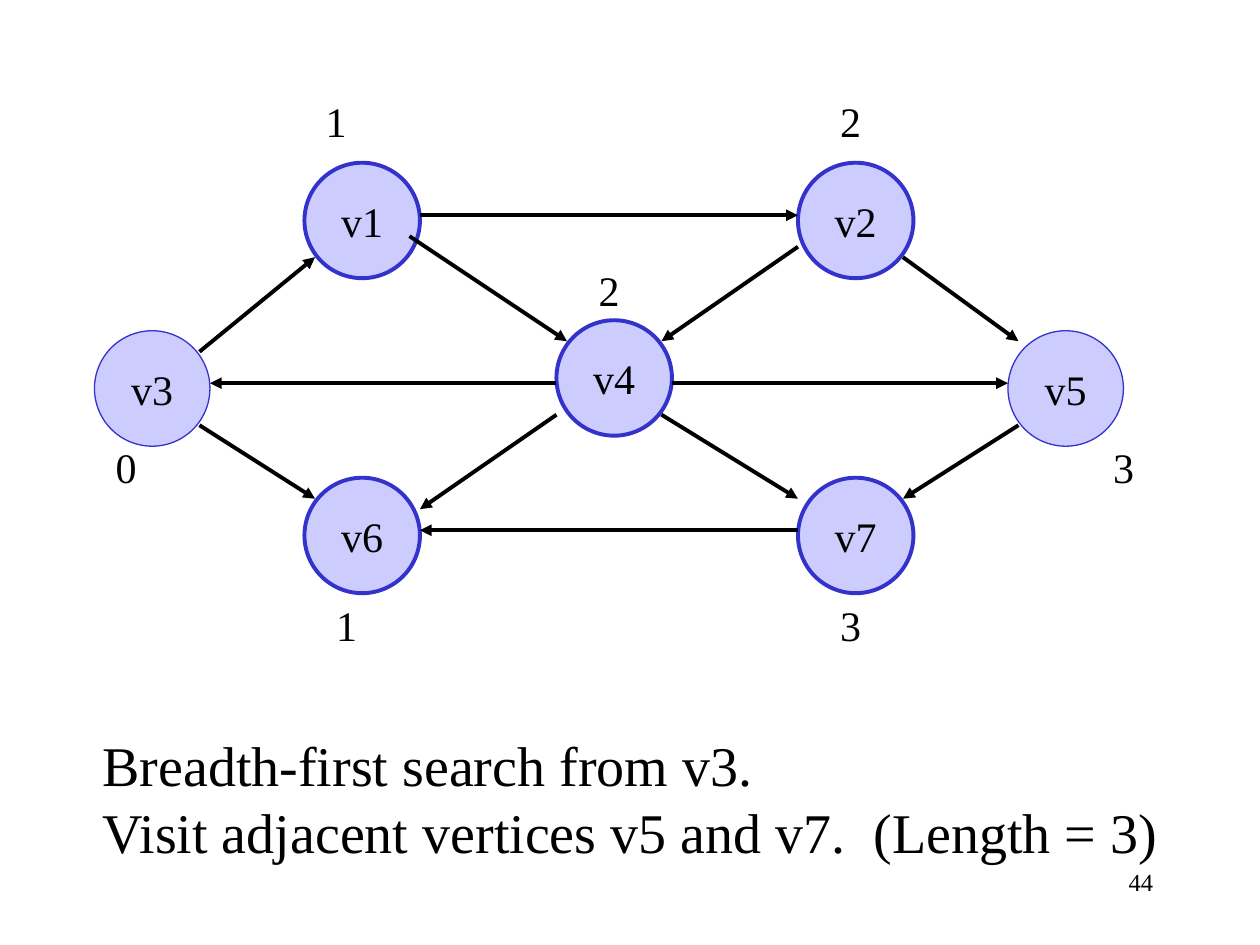
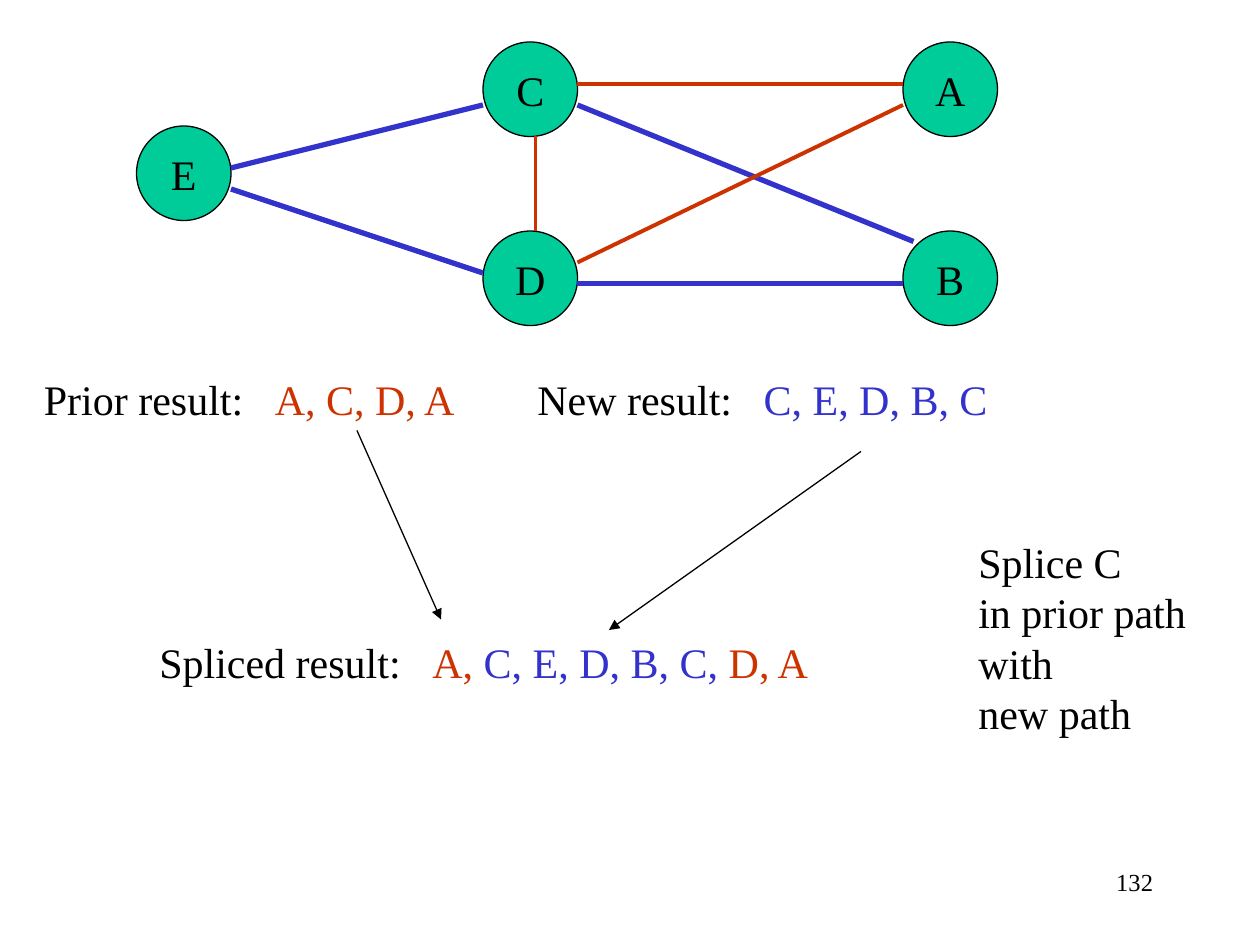
from dataclasses import dataclass

from lxml import etree
from pptx import Presentation
from pptx.dml.color import RGBColor
from pptx.enum import shapes, text
from pptx.oxml import ns
from pptx.util import Pt

BLACK = RGBColor(0x00, 0x00, 0x00)
BLUE = RGBColor(0x33, 0x33, 0xCC)
LAVENDER = RGBColor(0xCC, 0xCC, 0xFF)
GREEN = RGBColor(0x00, 0xCC, 0x99)
RED = RGBColor(0xCC, 0x33, 0x00)

FONT = "Times New Roman"
BODY_SIZE = 24
CAPTION_SIZE = 32
NUMBER_SIZE = 14
BLANK_LAYOUT = 6


@dataclass
class Node:
    name: str
    left: float
    top: float
    line_width: float = 0.75


@dataclass
class NodeStyle:
    diameter: float
    fill: RGBColor
    line: RGBColor


@dataclass
class Edge:
    start: tuple[float, float]
    end: tuple[float, float]
    color: RGBColor = BLACK
    width: float = 2.25
    arrow: bool = True


@dataclass
class Label:
    """Text box; each paragraph is a list of (wording, colour) runs."""
    left: float
    top: float
    width: float
    height: float
    paragraphs: list[list[tuple[str, RGBColor]]]
    size: float = BODY_SIZE
    wrap: bool = False
    alignment: text.PP_ALIGN = text.PP_ALIGN.LEFT


VERTEX_STYLE = NodeStyle(66, LAVENDER, BLUE)
CIRCUIT_STYLE = NodeStyle(54, GREEN, BLACK)

VERTICES = [
    Node("v3", 54, 189),
    Node("v1", 174, 93, 2.25),
    Node("v6", 174, 273, 2.25),
    Node("v5", 576, 189),
    Node("v2", 456, 93, 2.25),
    Node("v7", 456, 273, 2.25),
    Node("v4", 318, 183, 2.25),
]

DIRECTED_EDGES = [
    Edge((114, 201), (180, 147)),  # v3 to v1
    Edge((114, 243), (180, 285)),  # v3 to v6
    Edge((318, 219), (120, 219)),  # v4 to v3
    Edge((240, 123), (456, 123)),  # v1 to v2
    Edge((582, 243), (516, 285)),  # v5 to v7
    Edge((516, 147), (582, 195)),  # v2 to v5
    Edge((234, 135), (324, 195)),  # v1 to v4
    Edge((456, 141), (378, 195)),  # v2 to v4
    Edge((384, 219), (576, 219)),  # v4 to v5
    Edge((378, 237), (456, 285)),  # v4 to v7
    Edge((456, 303), (240, 303)),  # v7 to v6
    Edge((318, 237), (240, 291)),  # v4 to v6
]

# Path length from v3, with the left and top of its label
DISTANCES = [
    ("0", 59, 249), ("1", 185, 339), ("1", 179, 51), ("2", 473, 51),
    ("2", 335, 147.5), ("3", 473, 339), ("3", 629, 249),
]

CIRCUIT_NODES = [
    Node("A", 516, 24),
    Node("B", 516, 132),
    Node("C", 276, 24),
    Node("D", 276, 132),
    Node("E", 78, 72),
]

PRIOR_EDGES = [
    Edge((516, 48), (330, 48), RED, arrow=False),
    Edge((306, 78), (306, 132), RED, arrow=False),
]
NEW_EDGES = [
    Edge(start, end, BLUE, 3, arrow=False)
    for start, end in [
        ((516, 162), (330, 162)),
        ((276, 60), (132, 96)),
        ((276, 156), (132, 108)),
        ((330, 60), (522, 138)),
    ]
]
CROSSING_EDGE = Edge((330, 150), (516, 60), RED, arrow=False)

SPLICE_ARROWS = [
    Edge((204, 246), (252, 354), width=0.75),
    Edge((492, 258), (348, 360), width=0.75),
]

RESULTS = [
    Label(18, 210, 250.5, 36,
          [[("Prior result:   ", BLACK), ("A, C, D, A", RED)]]),
    Label(300, 210, 271.5, 36,
          [[("New result:   ", BLACK), ("C, E, D, B, C", BLUE)]]),
    Label(84, 360, 386.5, 36,
          [[("Spliced result:   ", BLACK), ("A, ", RED),
            ("C, E, D, B, C, ", BLUE), ("D, A", RED)]]),
]


def plain(*lines: str) -> list[list[tuple[str, RGBColor]]]:
    """One black run per paragraph."""
    return [[(line, BLACK)] for line in lines]


def format_run(run, size: float, color: RGBColor) -> None:
    run.font.name = FONT
    run.font.size = Pt(size)
    run.font.color.rgb = color


def add_node(slide, node: Node, style: NodeStyle) -> None:
    diameter = Pt(style.diameter)
    shape = slide.shapes.add_shape(
        shapes.MSO_SHAPE.OVAL, Pt(node.left), Pt(node.top), diameter, diameter)
    shape.shadow.inherit = False
    shape.fill.solid()
    shape.fill.fore_color.rgb = style.fill
    shape.line.color.rgb = style.line
    shape.line.width = Pt(node.line_width)
    frame = shape.text_frame
    frame.text = node.name
    frame.word_wrap = False
    frame.vertical_anchor = text.MSO_ANCHOR.MIDDLE
    paragraph = frame.paragraphs[0]
    paragraph.alignment = text.PP_ALIGN.CENTER
    format_run(paragraph.runs[0], BODY_SIZE, BLACK)


def add_edge(slide, edge: Edge) -> None:
    connector = slide.shapes.add_connector(
        shapes.MSO_CONNECTOR.STRAIGHT,
        *(Pt(value) for value in edge.start + edge.end))
    connector.line.color.rgb = edge.color
    connector.line.width = Pt(edge.width)
    if edge.arrow:
        etree.SubElement(connector.line._get_or_add_ln(),
                         ns.qn("a:tailEnd"), type="triangle")
    etree.SubElement(connector._element.spPr, ns.qn("a:effectLst"))


def add_label(slide, label: Label) -> None:
    box = slide.shapes.add_textbox(
        Pt(label.left), Pt(label.top), Pt(label.width), Pt(label.height))
    frame = box.text_frame
    frame.word_wrap = label.wrap
    frame.auto_size = text.MSO_AUTO_SIZE.SHAPE_TO_FIT_TEXT
    for index, runs in enumerate(label.paragraphs):
        paragraph = frame.add_paragraph() if index else frame.paragraphs[0]
        paragraph.alignment = label.alignment
        for wording, color in runs:
            run = paragraph.add_run()
            run.text = wording
            format_run(run, label.size, color)


def add_graph_slide(presentation, number: int, nodes: list[Node],
                    style: NodeStyle, edges: list[Edge],
                    labels: list[Label]) -> None:
    slide = presentation.slides.add_slide(
        presentation.slide_layouts[BLANK_LAYOUT])
    add_label(slide, Label(516, 492, 150, 36, plain(str(number)), NUMBER_SIZE,
                           wrap=True, alignment=text.PP_ALIGN.RIGHT))
    for node in nodes:
        add_node(slide, node, style)
    for edge in edges:
        add_edge(slide, edge)
    for label in labels:
        add_label(slide, label)


def main() -> None:
    presentation = Presentation()
    presentation.slide_width = Pt(720)
    presentation.slide_height = Pt(540)

    caption = Label(51.5, 414, 619, 84, plain(
        "Breadth-first search from v3.",
        "Visit adjacent vertices v5 and v7.  (Length = 3)"), CAPTION_SIZE)
    distances = [Label(left, top, 26.5, 36, plain(distance))
                 for distance, left, top in DISTANCES]
    add_graph_slide(presentation, 44, VERTICES, VERTEX_STYLE,
                    DIRECTED_EDGES, [caption, *distances])

    explanation = Label(552, 303, 138, 122.5, plain(
        "Splice C", "in prior path", "with", "new path"), wrap=True)
    add_graph_slide(presentation, 132, CIRCUIT_NODES, CIRCUIT_STYLE,
                    [*PRIOR_EDGES, *NEW_EDGES, CROSSING_EDGE, *SPLICE_ARROWS],
                    [*RESULTS, explanation])

    presentation.save("out.pptx")


if __name__ == "__main__":
    main()
